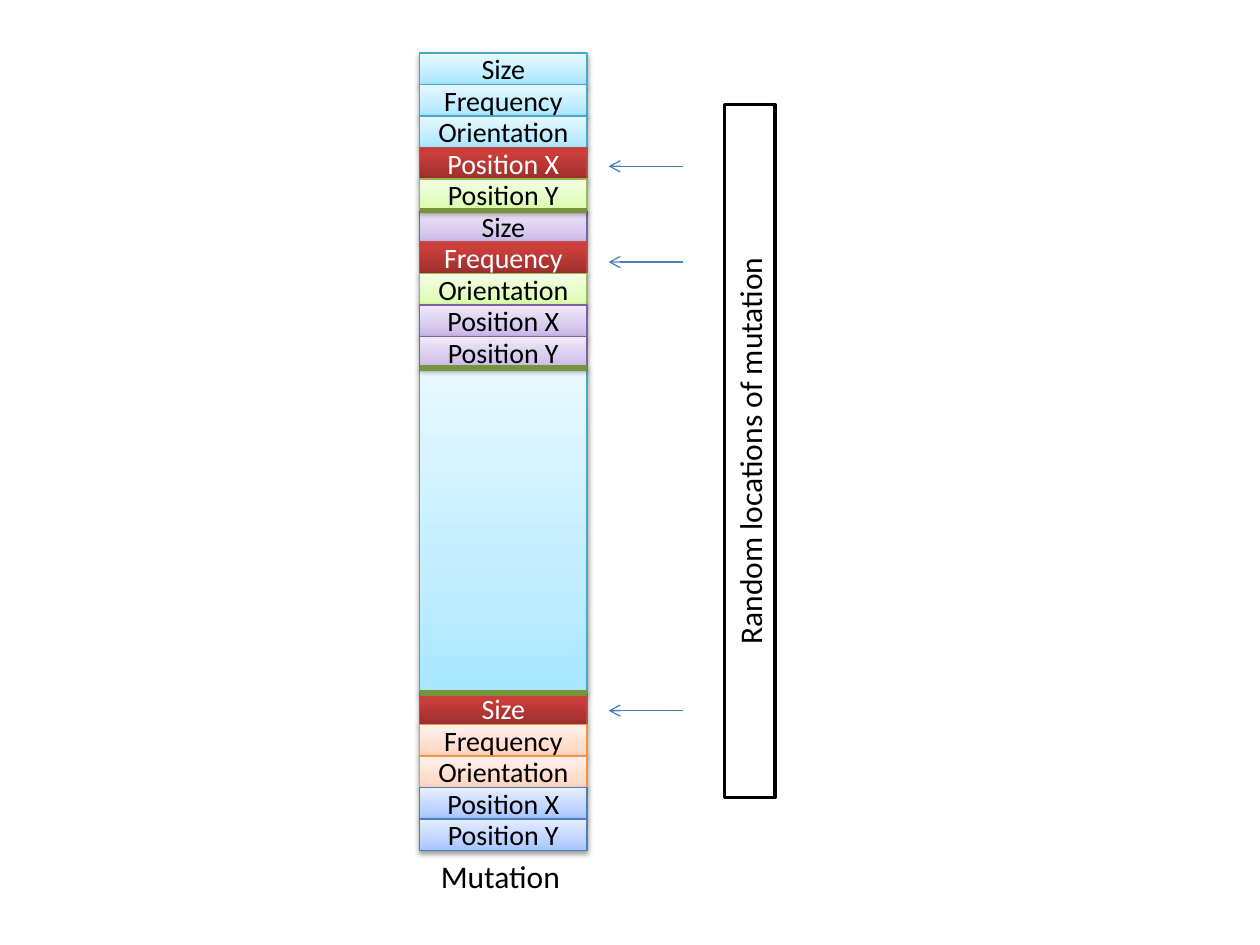
from lxml.etree import SubElement
from pptx import Presentation
from pptx.dml.color import RGBColor
from pptx.enum.shapes import MSO_CONNECTOR, MSO_SHAPE
from pptx.enum.text import MSO_ANCHOR, MSO_AUTO_SIZE, PP_ALIGN
from pptx.oxml.ns import qn
from pptx.util import Inches, Pt

COLORS = {"black": "000000", "white": "FFFFFF", "divider": "77933C", "arrow": "4B7EBC"}
GRADIENTS = {
    "aqua": ("46AAC5", [(0, "A7E6FF"), (35, "C1EDFF"), (100, "E7F8FF")]),
    "purple": ("7D60A0", [(0, "C9B5E8"), (35, "D8CBEE"), (100, "F0EAF9")]),
    "red": ("BF4C48", [(0, "9C2F2D"), (80, "CB3E3A"), (100, "CE3B37")]),
    "green": ("98B955", [(0, "DAFDA7"), (35, "E4FCC2"), (100, "F5FFE7")]),
    "orange": ("F69240", [(0, "FFD2BD"), (35, "FFDED0"), (100, "FFF2ED")]),
    "blue": ("4B7EBC", [(0, "A4C4FF"), (35, "BFD4FF"), (100, "E6EEFF")]),
}
GENES = ["Size", "Frequency", "Orientation", "Position X", "Position Y"]
ROW_HEIGHT = 0.25


def rgb(name):
    """Return the colour of a palette name or hex string."""
    return RGBColor.from_string(COLORS.get(name, name))


def write(shape, text, size=16, color="black", align=PP_ALIGN.CENTER,
          anchor=MSO_ANCHOR.MIDDLE, wrap=True, grow=False):
    """Put formatted text into a shape."""
    frame = shape.text_frame
    frame.word_wrap = wrap
    frame.vertical_anchor = anchor
    if grow:
        frame.auto_size = MSO_AUTO_SIZE.SHAPE_TO_FIT_TEXT
    paragraph = frame.paragraphs[0]
    paragraph.alignment = align
    run = paragraph.add_run()
    run.text = text
    run.font.name = "Calibri"
    run.font.size = Pt(size)
    run.font.color.rgb = rgb(color)


def add_color(parent, color, alpha=None):
    """Append a colour element with optional opacity in percent."""
    element = SubElement(parent, qn("a:srgbClr"), val=color)
    if alpha:
        SubElement(element, qn("a:alpha"), val=str(alpha * 1000))


def add_cell(slide, left, top, width, height, theme, text=None):
    """Draw a gradient cell with a soft shadow and an optional gene name."""
    cell = slide.shapes.add_shape(
        MSO_SHAPE.RECTANGLE, Inches(left), Inches(top), Inches(width), Inches(height))
    outline, stops = GRADIENTS[theme]
    cell.fill.gradient()
    properties = cell._element.spPr
    stop_list = properties.find(".//" + qn("a:gsLst"))
    for old_stop in list(stop_list):
        stop_list.remove(old_stop)
    for position, color in stops:
        add_color(SubElement(stop_list, qn("a:gs"), pos=str(position * 1000)), color)
    properties.find(".//" + qn("a:lin")).set("ang", "16200000")
    cell.line.color.rgb = rgb(outline)
    cell.line.width = Pt(0.75)
    cell.shadow.inherit = False
    is_red = theme == "red"
    shadow = SubElement(
        properties.find(qn("a:effectLst")), qn("a:outerShdw"), blurRad="40000",
        dist="23000" if is_red else "20000", dir="5400000", rotWithShape="0")
    add_color(shadow, COLORS["black"], alpha=35 if is_red else 38)
    if text:
        write(cell, text, color="white" if is_red else "black")


def add_line(slide, start, end, color, weight, arrow=False):
    """Draw a straight line, with an open arrowhead at its end if asked."""
    line = slide.shapes.add_connector(
        MSO_CONNECTOR.STRAIGHT, *(Inches(value) for value in (*start, *end)))
    line.line.color.rgb = rgb(color)
    line.line.width = Pt(weight)
    if arrow:
        SubElement(line.line._get_or_add_ln(), qn("a:tailEnd"), type="arrow")
    SubElement(line._element.spPr, qn("a:effectLst"))


def add_gene_group(slide, left, top, width, themes, divider_row):
    """Stack the five genes and draw the divider above the given row."""
    for row, (gene, theme) in enumerate(zip(GENES, themes)):
        add_cell(slide, left, top + row * ROW_HEIGHT, width, ROW_HEIGHT, theme, gene)
    divider = top + divider_row * ROW_HEIGHT
    add_line(slide, (left, divider), (left + width, divider), "divider", 3)


def add_chromosome(slide, left, top, width):
    """Draw the gene column with its caption."""
    group_height = len(GENES) * ROW_HEIGHT
    second, gap, last = top + group_height, top + 2 * group_height, top + 5.08
    add_cell(slide, left, gap, width, last - gap, "aqua")
    add_gene_group(slide, left, second, width,
                   ["purple", "red", "green", "purple", "purple"], 5)
    add_gene_group(slide, left, top, width, ["aqua"] * 3 + ["red", "green"], 5)
    add_gene_group(slide, left, last, width,
                   ["red", "orange", "orange", "blue", "blue"], 0)
    caption = slide.shapes.add_textbox(
        Inches(left + 0.07), Inches(last + group_height), Inches(1.16), Inches(0.4))
    write(caption, "Mutation", size=18, align=PP_ALIGN.LEFT,
          anchor=MSO_ANCHOR.TOP, wrap=False, grow=True)


def add_mutation_arrows(slide, left, width, heights):
    """Point at each mutated gene from the right."""
    for y in heights:
        add_line(slide, (left + width, y), (left, y), "arrow", 0.75, arrow=True)


def add_mutation_label(slide, left, top, width, height):
    """Draw the framed label that reads upwards within its upright box."""
    label = slide.shapes.add_textbox(
        Inches(left + (width - height) / 2), Inches(top + (height - width) / 2),
        Inches(height), Inches(width))
    label.rotation = 270
    label.fill.solid()
    label.fill.fore_color.rgb = rgb("white")
    label.line.color.rgb = rgb("black")
    label.line.width = Pt(2)
    write(label, "Random locations of mutation", size=18,
          anchor=MSO_ANCHOR.TOP, grow=True)


def main():
    """Build and save the mutation slide."""
    deck = Presentation()
    deck.slide_width, deck.slide_height = Inches(10), Inches(7.5)
    slide = deck.slides.add_slide(deck.slide_layouts[6])
    add_chromosome(slide, 3.33, 0.42, 1.33)
    add_mutation_arrows(slide, 4.83, 0.59, [1.32, 2.08, 5.64])
    add_mutation_label(slide, 5.75, 0.83, 0.4, 5.5)
    deck.save("out.pptx")


if __name__ == "__main__":
    main()
